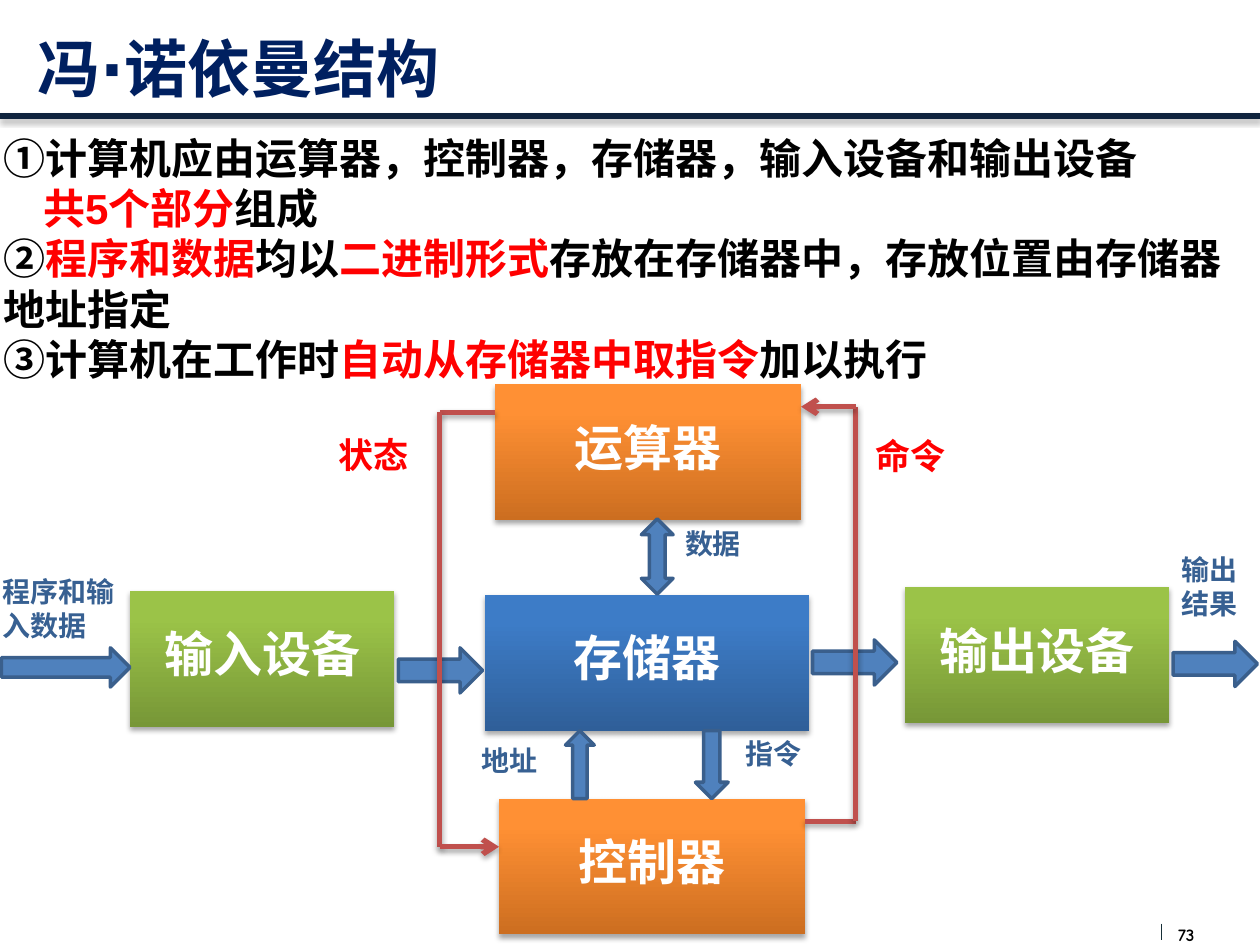
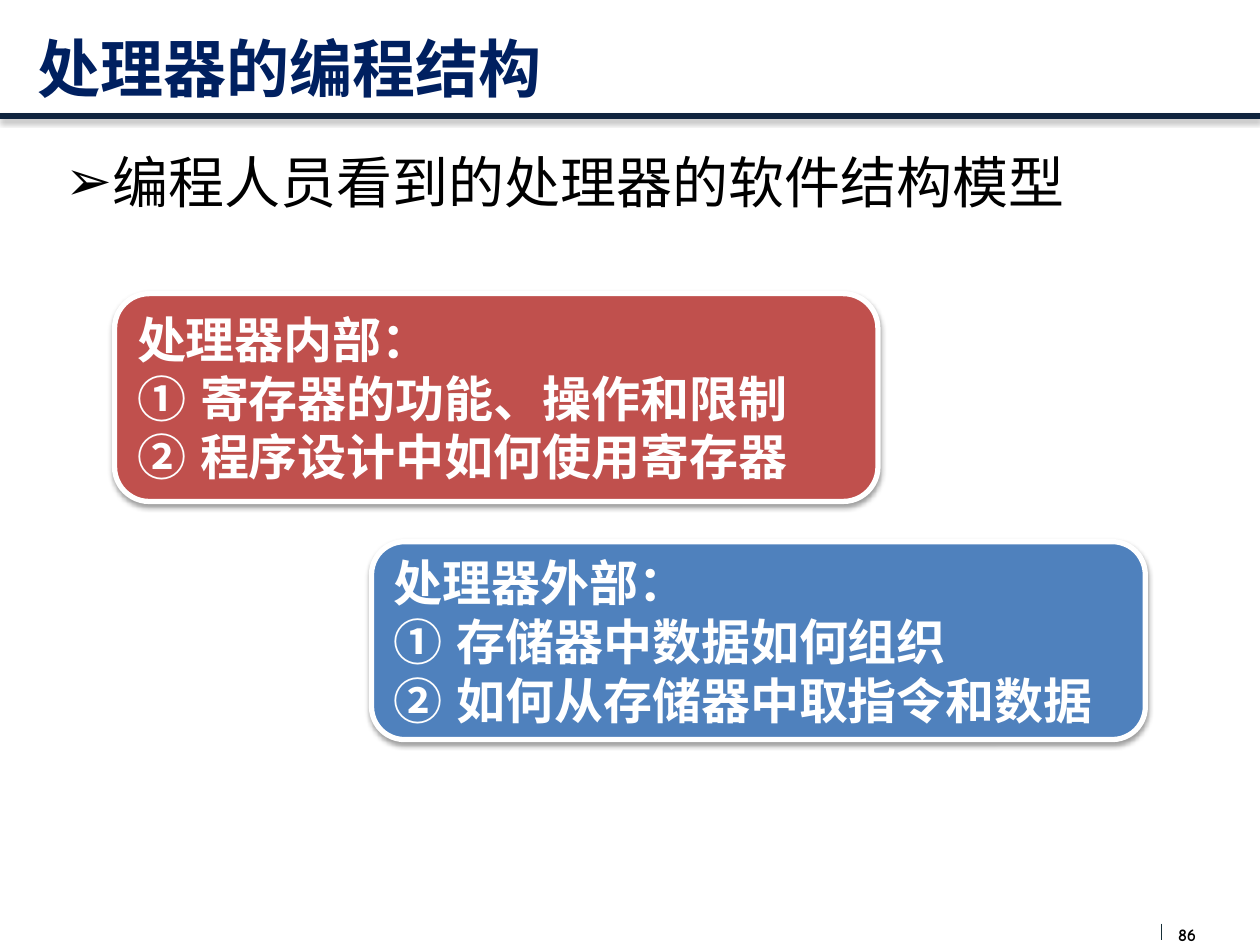
from lxml import etree
from pptx import Presentation
from pptx.dml.color import RGBColor
from pptx.enum.shapes import MSO_CONNECTOR, MSO_SHAPE
from pptx.enum.text import MSO_ANCHOR, PP_ALIGN
from pptx.oxml.ns import qn
from pptx.util import Cm, Pt

STRAIGHT = MSO_CONNECTOR.STRAIGHT
RECT, ROUND = MSO_SHAPE.RECTANGLE, MSO_SHAPE.ROUNDED_RECTANGLE
RIGHT, UP, DOWN = MSO_SHAPE.RIGHT_ARROW, MSO_SHAPE.UP_ARROW, MSO_SHAPE.DOWN_ARROW
BOTH = MSO_SHAPE.UP_DOWN_ARROW
MIDDLE = MSO_ANCHOR.MIDDLE
LEFT, CENTER, JUSTIFY = PP_ALIGN.LEFT, PP_ALIGN.CENTER, PP_ALIGN.JUSTIFY

COLORS = {
    "title": "002060", "rule": "0F243E", "tick": "172F37",
    "text": "000000", "white": "FFFFFF", "key": "FF0000",
    "label": "376092", "arrow": "4F81BD", "edge": "3A5F8C", "brick": "C0504D",
}
# Bottom and top colour of each kind of unit
BLENDS = {
    "memory": ("2F5F99", "3D7CC7"),
    "device": ("779737", "9BC348"),
    "core": ("CC6E20", "FF9034"),
}
FONT = "Arial"


def color(name):
    return RGBColor.from_string(COLORS[name])


def place(*lengths):
    return [Cm(n) for n in lengths]


def style(par, size, tone, bold=True, align=LEFT, font=FONT):
    par.alignment = align
    par.font.name = font
    par.font.size = Pt(size)
    par.font.bold = bold
    par.font.color.rgb = color(tone)


def mark(par, indent, tag, **attrs):
    """Give the paragraph a hanging bullet or number."""
    props = par._p.get_or_add_pPr()
    props.set("marL", str(Cm(indent)))
    props.set("indent", str(-Cm(indent)))
    etree.SubElement(props, qn("a:buFont")).set("typeface", FONT)
    etree.SubElement(props, qn(tag), attrs)


def effect(item, alpha=0):
    """Replace the theme shadow by a soft one, or by none; call after line and fill."""
    effects = etree.SubElement(item.element.spPr, qn("a:effectLst"))
    if alpha:
        shade = etree.SubElement(effects, qn("a:outerShdw"), blurRad="40000",
                                 dist="23000", dir="5400000", rotWithShape="0")
        tint = etree.SubElement(shade, qn("a:srgbClr"), val=COLORS["text"])
        etree.SubElement(tint, qn("a:alpha"), val=str(alpha * 1000))


def label(slide, spot, lines, size, tone, **look):
    box = slide.shapes.add_textbox(*place(*spot))
    frame = box.text_frame
    frame.word_wrap = True
    frame.text = lines
    for par in frame.paragraphs:
        style(par, size, tone, **look)
    return frame


def line(slide, start, end, tone, width, alpha=0, head=False):
    item = slide.shapes.add_connector(STRAIGHT, *place(*start, *end))
    item.line.color.rgb = color(tone)
    item.line.width = Pt(width)
    stroke = item.line._get_or_add_ln()
    if head:
        etree.SubElement(stroke, qn("a:tailEnd"), type="arrow")
    effect(item, alpha)


def route(slide, *points):
    """Join the points with lines and end in an arrowhead."""
    for start, end in zip(points, points[1:]):
        line(slide, start, end, "brick", 3, 35, head=end == points[-1])


def unit(slide, name, kind, left, top, width):
    box = slide.shapes.add_shape(RECT, *place(left, top, width, 2.74))
    box.fill.gradient()
    box.fill.gradient_angle = 90
    for stop, spot, tone in zip(box.fill.gradient_stops, (0, 0.8), BLENDS[kind]):
        stop.position = spot
        stop.color.rgb = RGBColor.from_string(tone)
    box.line.fill.background()
    effect(box, 35)
    frame = box.text_frame
    frame.vertical_anchor = MIDDLE
    frame.margin_bottom = Cm(0.35)
    frame.text = name
    style(frame.paragraphs[0], 28, "white", align=CENTER)


def solid(slide, kind, spot, fill, edge, width, alpha=0):
    item = slide.shapes.add_shape(kind, *place(*spot))
    item.fill.solid()
    item.fill.fore_color.rgb = color(fill)
    item.line.color.rgb = color(edge)
    item.line.width = Pt(width)
    effect(item, alpha)
    return item


def panel(slide, spot, tone, head, *points):
    frame = solid(slide, ROUND, spot, tone, "white", 3, 38).text_frame
    frame.vertical_anchor = MIDDLE
    frame.text = "\n".join((head, *points))
    for par in frame.paragraphs[1:]:
        mark(par, 1.27, "a:buAutoNum", type="circleNumDbPlain")
    for par in frame.paragraphs:
        style(par, 28, "white", align=JUSTIFY)


def add_slide(deck, title, number):
    slide = deck.slides.add_slide(deck.slide_layouts[5])
    line(slide, (0, 2.34), (25.4, 2.34), "rule", 3, 35)
    frame = label(slide, (23.75, 18.62, 0.86, 0.43), number, 10, "text",
                  font="Comic Neue")
    frame.margin_left = frame.margin_right = 0
    frame.margin_top = frame.margin_bottom = 0
    line(slide, (23.42, 18.62), (23.42, 18.95), "tick", 0.75)
    head = slide.shapes.title
    head.left, head.top, head.width, head.height = place(0.5, 0, 24.2, 2.72)
    head.text_frame.text = title
    head.text_frame.vertical_anchor = MIDDLE
    style(head.text_frame.paragraphs[0], 36, "title")
    return slide


def add_rules(slide):
    """Write the principles; every second part of a line is a key phrase."""
    rules = (
        "①计算机应由运算器，控制器，存储器，输入设备和输出设备",
        "|共5个部分|组成",
        "②|程序和数据|均以|二进制形式|存放在存储器中，存放位置由存储器地址指定",
        "③计算机在工作时|自动从存储器中取指令|加以执行",
    )
    frame = label(slide, (-0.18, 2.54, 25.4, 5.38), "\n" * (len(rules) - 1), 24, "text")
    for par, rule in zip(frame.paragraphs, rules):
        for i, part in enumerate(rule.split("|")):
            if part:
                run = par.add_run()
                run.text = part
                run.font.color.rgb = color("key" if i % 2 else "text")
    frame.paragraphs[1]._p.get_or_add_pPr().set("marL", str(Cm(0.8)))


def add_machine(slide):
    for spec in (
        ("存储器", "memory", 9.78, 11.99, 6.53),
        ("输出设备", "device", 18.24, 11.84, 5.33),
        ("输入设备", "device", 2.62, 11.91, 5.33),
        ("运算器", "core", 9.98, 7.75, 6.17),
        ("控制器", "core", 10.06, 16.1, 6.17),
    ):
        unit(slide, *spec)
    for kind, *spot in (
        (RIGHT, 8.03, 13.06, 1.7, 0.91),
        (RIGHT, 16.38, 12.9, 1.7, 0.91),
        (RIGHT, 0.03, 13.06, 2.59, 0.79),
        (RIGHT, 23.65, 12.93, 1.7, 0.91),
        (BOTH, 12.93, 10.46, 0.64, 1.52),
        (UP, 11.4, 14.73, 0.58, 1.37),
        (DOWN, 14.02, 14.73, 0.66, 1.37),
    ):
        solid(slide, kind, spot, "arrow", "edge", 2)
    for text, *spot in (
        ("程序和输入数据", -0.2, 11.46, 2.82, 1.93),
        ("输出\n结果", 23.57, 11.02, 1.88, 1.93),
        ("数据", 13.56, 10.49, 1.88, 1.12),
        ("地址", 9.45, 14.86, 1.88, 1.12),
        ("指令", 14.78, 14.73, 1.88, 1.12),
    ):
        label(slide, spot, text, 16, "label")
    route(slide, (9.98, 8.31), (8.86, 8.31), (8.86, 17.07), (10.06, 17.07))
    route(slide, (16.23, 16.56), (17.25, 16.56), (17.25, 8.2), (16.15, 8.2))
    label(slide, (6.58, 8.61, 2.1, 1.32), "状态", 20, "key")
    label(slide, (17.4, 8.64, 2.1, 1.32), "命令", 20, "key")


def add_model(slide):
    box = slide.shapes.add_textbox(*place(1.07, 2.85, 23.29, 1.9))
    box.text_frame.word_wrap = True
    par = box.text_frame.paragraphs[0]
    par.text = "编程人员看到的处理器的软件结构模型"
    mark(par, 0.95, "a:buChar", char="➢")
    style(par, 32, "text", bold=False, align=JUSTIFY)
    panel(slide, (2.31, 5.92, 15.39, 4.19), "brick", "处理器内部：",
          "寄存器的功能、操作和限制", "程序设计中如何使用寄存器")
    panel(slide, (7.49, 10.92, 15.6, 3.99), "arrow", "处理器外部：",
          "存储器中数据如何组织", "如何从存储器中取指令和数据")


def main():
    deck = Presentation()
    deck.slide_width, deck.slide_height = place(25.4, 19.05)
    slide = add_slide(deck, "冯∙诺依曼结构", "73")
    add_machine(slide)
    add_rules(slide)
    add_model(add_slide(deck, "处理器的编程结构", "86"))
    deck.save("out.pptx")


if __name__ == "__main__":
    main()
